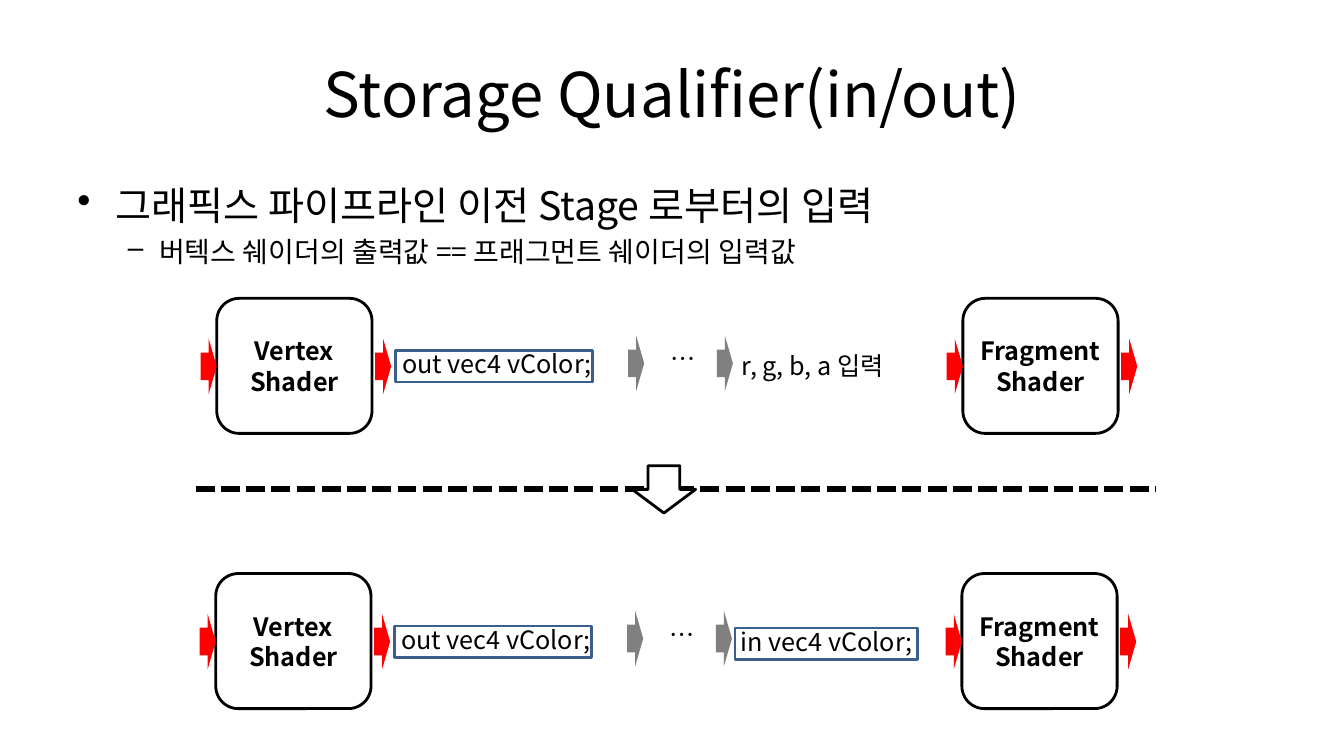
from dataclasses import dataclass

from lxml import etree
from pptx import Presentation
from pptx.dml.color import RGBColor
from pptx.enum.dml import MSO_LINE
from pptx.enum.shapes import MSO_CONNECTOR, MSO_SHAPE
from pptx.enum.text import MSO_ANCHOR, PP_ALIGN
from pptx.oxml.ns import qn
from pptx.util import Inches, Pt


@dataclass(frozen=True)
class Theme:
    font: str = "Noto Sans CJK KR"
    black: str = "000000"
    white: str = "FFFFFF"
    red: str = "FF0000"
    gray: str = "808080"
    blue: str = "3A5F8C"
    title: int = 44
    heading: int = 28
    detail: int = 20
    label: int = 18
    outline: int = 2
    divider: float = 4.5


class SlideBuilder:
    def __init__(self, deck, theme):
        self.theme = theme
        self.page = deck.slides.add_slide(deck.slide_layouts[6])

    def add_span(self, para, text, size, bold=False):
        span = para.add_run()
        span.text = text
        formats = {"name": self.theme.font, "size": Pt(size), "bold": bold}
        for name, value in formats.items():
            setattr(span.font, name, value)
        span.font.color.rgb = RGBColor.from_string(self.theme.black)
        east_asian = etree.SubElement(span.font._element, qn("a:ea"))
        east_asian.set("typeface", self.theme.font)

    def text(self, left, top, width, height, text, size=None, **para_formats):
        box = self.page.shapes.add_textbox(
            Inches(left), Inches(top), Inches(width), Inches(height))
        box.text_frame.word_wrap = True
        para = box.text_frame.paragraphs[0]
        for name, value in para_formats.items():
            setattr(para, name, value)
        self.add_span(para, text, size or self.theme.label)
        return box

    def bullets(self, left, top, width, height, items):
        """Each item holds text, size, bullet sign, margin and hanging indent."""
        box = self.page.shapes.add_textbox(
            Inches(left), Inches(top), Inches(width), Inches(height))
        frame = box.text_frame
        frame.word_wrap = True
        for index, (text, size, sign, margin, hanging) in enumerate(items):
            para = frame.add_paragraph() if index else frame.paragraphs[0]
            para.space_before = Pt(size * 0.2)
            properties = para._p.get_or_add_pPr()
            properties.set("marL", str(Inches(margin)))
            properties.set("indent", str(-Inches(hanging)))
            etree.SubElement(properties, qn("a:buChar")).set("char", sign)
            self.add_span(para, text, size)

    def shape(self, kind, left, top, width, height, fill=None, line=None):
        shape = self.page.shapes.add_shape(
            kind, Inches(left), Inches(top), Inches(width), Inches(height))
        shape.shadow.inherit = False
        if fill:
            shape.fill.solid()
            shape.fill.fore_color.rgb = RGBColor.from_string(fill)
        else:
            shape.fill.background()
        if line:
            shape.line.color.rgb = RGBColor.from_string(line)
            shape.line.width = Pt(self.theme.outline)
        else:
            shape.line.fill.background()
        return shape

    def arrow(self, left, top, color):
        self.shape(MSO_SHAPE.RIGHT_ARROW, left, top, 0.16, 0.55, color)

    def frame(self, left, top, width):
        self.shape(MSO_SHAPE.RECTANGLE, left, top, width, 0.31,
                   line=self.theme.blue)

    def divider(self, left, right, top):
        line = self.page.shapes.add_connector(
            MSO_CONNECTOR.STRAIGHT,
            Inches(left), Inches(top), Inches(right), Inches(top))
        line.line.color.rgb = RGBColor.from_string(self.theme.black)
        line.line.width = Pt(self.theme.divider)
        line.line.dash_style = MSO_LINE.SQUARE_DOT
        etree.SubElement(line._element.spPr, qn("a:effectLst"))

    def shader(self, left, top, name):
        """A rounded shader stage with an arrow going in and one coming out."""
        box = self.shape(MSO_SHAPE.ROUNDED_RECTANGLE, left, top, 1.54, 1.34,
                         self.theme.white, self.theme.black)
        box.text_frame.word_wrap = True
        box.text_frame.vertical_anchor = MSO_ANCHOR.MIDDLE
        para = box.text_frame.paragraphs[0]
        para.alignment = PP_ALIGN.CENTER
        self.add_span(para, name, self.theme.label, bold=True)
        for arrow_left in (left + 1.57, left - 0.16):
            self.arrow(arrow_left, top + 0.4, self.theme.red)

    def pipeline(self, left, top, received):
        """Vertex shader output passing through stages to the fragment shader."""
        self.shader(left, top, "Vertex Shader")
        self.text(left + 1.74, top + 0.45, 2.53, 0.4, "out vec4 vColor;")
        self.frame(left + 1.77, top + 0.52, 1.96)
        self.text(left + 4.4, top + 0.4, 0.56, 0.4, "…")
        self.shader(left + 7.4, top, "Fragment Shader")
        self.text(left + 5.11, top + 0.47, 2.13, 0.4, received)
        for offset in (4.08, 4.96):
            self.arrow(left + offset, top + 0.37, self.theme.gray)


def main():
    deck = Presentation()
    deck.slide_width, deck.slide_height = Inches(13.33), Inches(7.5)
    theme = Theme()
    slide = SlideBuilder(deck, theme)

    slide.divider(1.94, 11.47, 4.85)
    title = slide.text(0.67, 0.3, 12, 1.25, "Storage Qualifier(in/out)",
                       theme.title, alignment=PP_ALIGN.CENTER)
    title.text_frame.vertical_anchor = MSO_ANCHOR.MIDDLE
    slide.bullets(0.67, 1.75, 12, 4.95, [
        ("그래픽스 파이프라인 이전 Stage 로부터의 입력",
         theme.heading, "•", 0.38, 0.38),
        ("버텍스 쉐이더의 출력값 == 프래그먼트 쉐이더의 입력값",
         theme.detail, "–", 0.81, 0.31),
    ])
    slide.pipeline(2.15, 2.96, "r, g, b, a 입력")
    slide.pipeline(2.14, 5.69, "in vec4 vColor;")
    slide.shape(MSO_SHAPE.DOWN_ARROW, 6.27, 4.62, 0.63, 0.47,
                theme.white, theme.black)
    slide.frame(7.29, 6.23, 1.81)
    deck.save("out.pptx")


if __name__ == "__main__":
    main()
